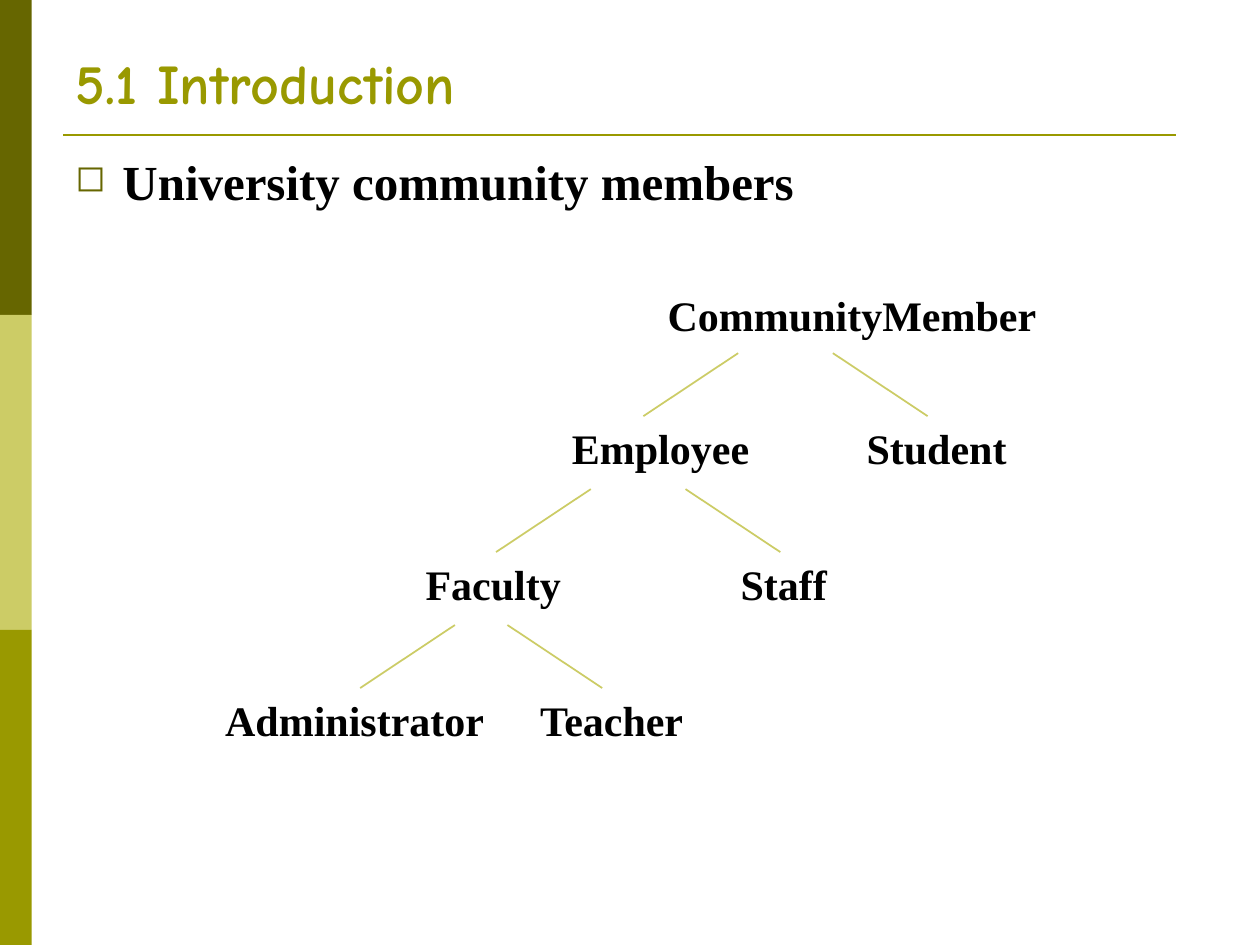
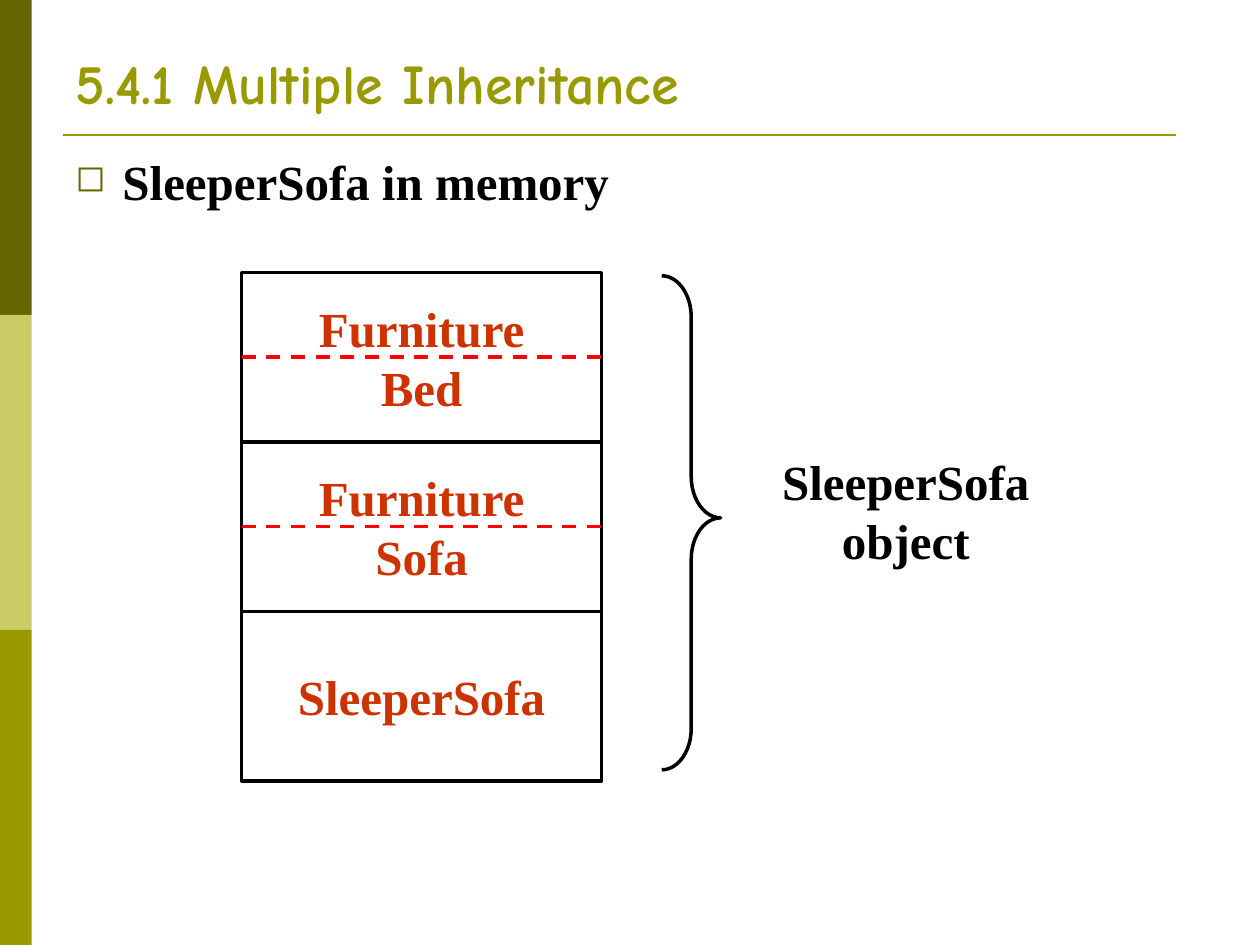
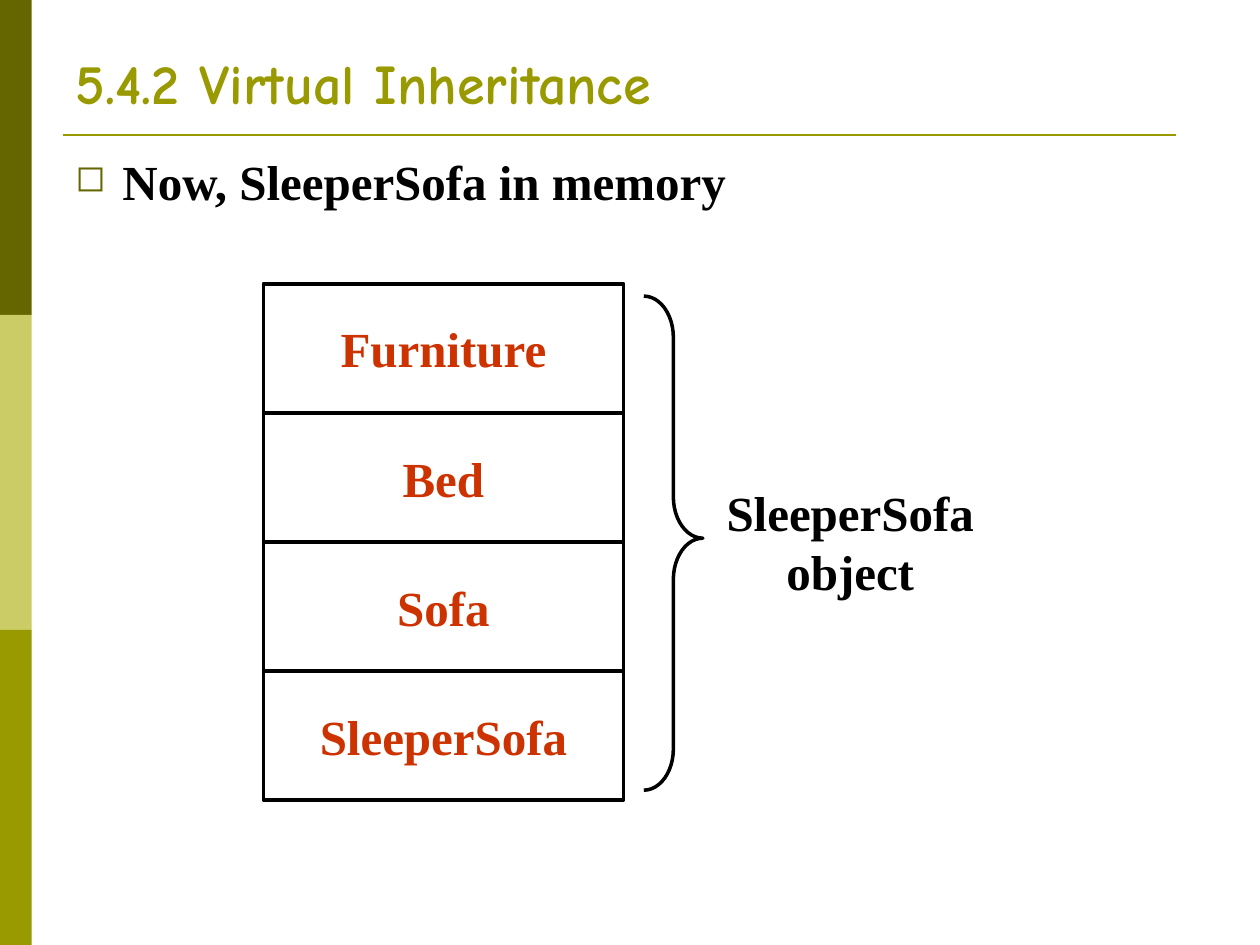
import pptx
import pptx.dml.color
import pptx.enum.dml
import pptx.enum.shapes
import pptx.enum.text
import pptx.oxml
import pptx.oxml.ns
import pptx.util

Cm = pptx.util.Cm
Pt = pptx.util.Pt
MSO_SHAPE = pptx.enum.shapes.MSO_SHAPE
ANCHOR = pptx.enum.text.MSO_ANCHOR
ALIGN = pptx.enum.text.PP_ALIGN

DARK, PALE, OLIVE = "666600", "CCCC66", "999900"
BLACK, RUST, RED = "000000", "CC3300", "FF0000"
TITLE_FONT, BODY_FONT = "Comic Neue", "Times New Roman"
TITLE_BOX = (1.27, 0.71, 22.86, 1.75)
BODY_BOX = (1.27, 2.92, 22.86, 12.57)


def rgb(color):
    return pptx.dml.color.RGBColor.from_string(color)


def place(box):
    return [Cm(length) for length in box]


def write(sp, lines, size, color=BLACK, font=BODY_FONT, align=ALIGN.LEFT,
          anchor=ANCHOR.TOP, wrap=False):
    tf = sp.text_frame
    tf.word_wrap = wrap
    tf.vertical_anchor = anchor
    for i, line in enumerate(lines):
        p = tf.paragraphs[0] if i == 0 else tf.add_paragraph()
        p.alignment = align
        r = p.add_run()
        r.text = line
        r.font.name = font
        r.font.size = Pt(size)
        r.font.bold = True
        r.font.color.rgb = rgb(color)
    return tf


def add_text(shapes, box, lines, size, **style):
    return write(shapes.add_textbox(*place(box)), lines, size, **style)


def add_shape(shapes, kind, box, fill=None, line=None):
    sp = shapes.add_shape(kind, *place(box))
    sp.shadow.inherit = False
    if fill:
        sp.fill.solid()
        sp.fill.fore_color.rgb = rgb(fill)
    else:
        sp.fill.background()
    if line:
        sp.line.color.rgb = rgb(line)
        sp.line.width = Pt(2)
    else:
        sp.line.fill.background()
    return sp


def add_line(shapes, ends, color, width):
    line = shapes.add_connector(pptx.enum.shapes.MSO_CONNECTOR.STRAIGHT, *place(ends))
    line.line.color.rgb = rgb(color)
    line.line.width = Pt(width)
    line._element.spPr.append(pptx.oxml.parse_xml(
        f"<a:effectLst {pptx.oxml.ns.nsdecls('a')}/>"))
    return line


def add_bullet(p):
    pPr = p._p.get_or_add_pPr()
    pPr.set("marL", str(Cm(0.95)))
    pPr.set("indent", str(-Cm(0.95)))
    ns = pptx.oxml.ns.nsdecls("a")
    for xml in (f'<a:buClr {ns}><a:srgbClr val="{DARK}"/></a:buClr>',
                f'<a:buSzPct {ns} val="75000"/>',
                f'<a:buChar {ns} char="◻"/>'):
        pPr.append(pptx.oxml.parse_xml(xml))


def add_slide(prs, title, heading):
    """Add a slide with the side bands, title, rule and bulleted heading."""
    s = prs.slides.add_slide(prs.slide_layouts[6])
    band_height = 6.35
    for i, color in enumerate((DARK, PALE, OLIVE)):
        add_shape(s.shapes, MSO_SHAPE.RECTANGLE,
                  (0, i * band_height, 0.64, band_height), fill=color)
    add_line(s.shapes, (1.27, 2.72, 23.7, 2.72), OLIVE, 1.5)
    add_text(s.shapes, TITLE_BOX, [title], 32, color=OLIVE, font=TITLE_FONT,
             anchor=ANCHOR.BOTTOM, wrap=True)
    tf = add_text(s.shapes, BODY_BOX, [heading], 28, wrap=True)
    add_bullet(tf.paragraphs[0])
    return s


def member_tree(s, left, top):
    """Draw the class tree; offsets in the data are measured from left."""
    shapes = s.shapes.add_group_shape().shapes
    label_height, level_step = 1.27, 2.74
    run, drop = 1.91, 1.27

    def label(name, x, y, width):
        add_text(shapes, (left + x, y, width, label_height), [name], 24)

    label("CommunityMember", 8.92, top, 8.2)
    # Per level: x where the branches start, then name, x and width of each child.
    levels = [
        ((10.59, 12.5), (("Employee", 6.99, 4.2), ("Student", 12.93, 3.5))),
        ((7.62, 9.53), (("Faculty", 4.04, 3.4), ("Staff", 10.39, 2.4))),
        ((4.88, 5.94), (("Administrator", 0, 5.9), ("Teacher", 6.35, 3.6))),
    ]
    for i, (starts, children) in enumerate(levels):
        y = top + 1.4 + i * level_step
        for start, side, (name, x, width) in zip(starts, (-1, 1), children):
            x1 = left + start
            add_line(shapes, (x1, y, x1 + side * run, y + drop), PALE, 1)
            label(name, x, y + drop, width)


def memory_stack(s, box, cells):
    """Stack equal cells in the box; a dashed line splits cells of two parts."""
    left, top, width, height = box
    cell_height = height / len(cells)
    split = []
    for i, parts in enumerate(cells):
        sp = add_shape(s.shapes, MSO_SHAPE.RECTANGLE,
                       (left, top + i * cell_height, width, cell_height), line=BLACK)
        write(sp, parts, 28, color=RUST, align=ALIGN.CENTER, anchor=ANCHOR.MIDDLE)
        if len(parts) > 1:
            split.append(sp)
    for sp in split:
        line = add_line(s.shapes, (left, top, left + width, top), RED, 2)
        line.line.dash_style = pptx.enum.dml.MSO_LINE.DASH
        line.begin_connect(sp, 1)
        line.end_connect(sp, 3)


def object_brace(s, left, top, caption_left, caption_top):
    brace = add_shape(s.shapes, MSO_SHAPE.RIGHT_BRACE,
                      (left, top, 1.19, 9.96), line=BLACK)
    brace.adjustments[0] = 0.7
    brace.adjustments[1] = 0.49
    add_text(s.shapes, (caption_left, caption_top, 7.26, 3.38),
             ["SleeperSofa", "object"], 28, align=ALIGN.CENTER, anchor=ANCHOR.MIDDLE)


def main():
    prs = pptx.Presentation()
    prs.slide_width, prs.slide_height = Cm(25.4), Cm(19.05)

    s = add_slide(prs, "5.1 Introduction", "University community members")
    member_tree(s, 4.29, 5.72)

    s = add_slide(prs, "5.4.1 Multiple Inheritance", "SleeperSofa in memory")
    memory_stack(s, (4.87, 5.49, 7.26, 10.25),
                 [["Furniture", "Bed"], ["Furniture", "Sofa"], ["SleeperSofa"]])
    object_brace(s, 13.34, 5.56, 14.63, 8.6)

    s = add_slide(prs, "5.4.2 Virtual Inheritance", "Now, SleeperSofa in memory")
    memory_stack(s, (5.31, 5.72, 7.26, 10.41),
                 [["Furniture"], ["Bed"], ["Sofa"], ["SleeperSofa"]])
    object_brace(s, 12.98, 5.97, 13.51, 9.22)

    prs.save("out.pptx")


if __name__ == "__main__":
    main()
